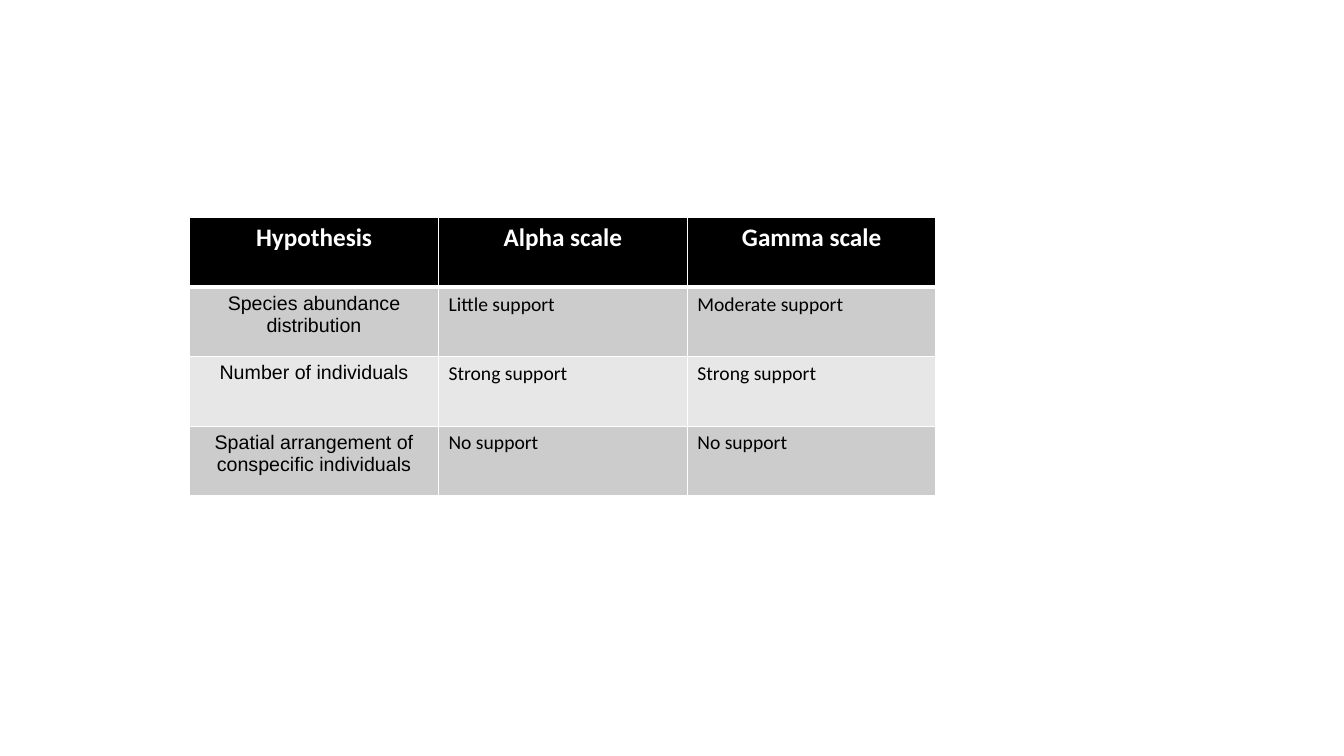
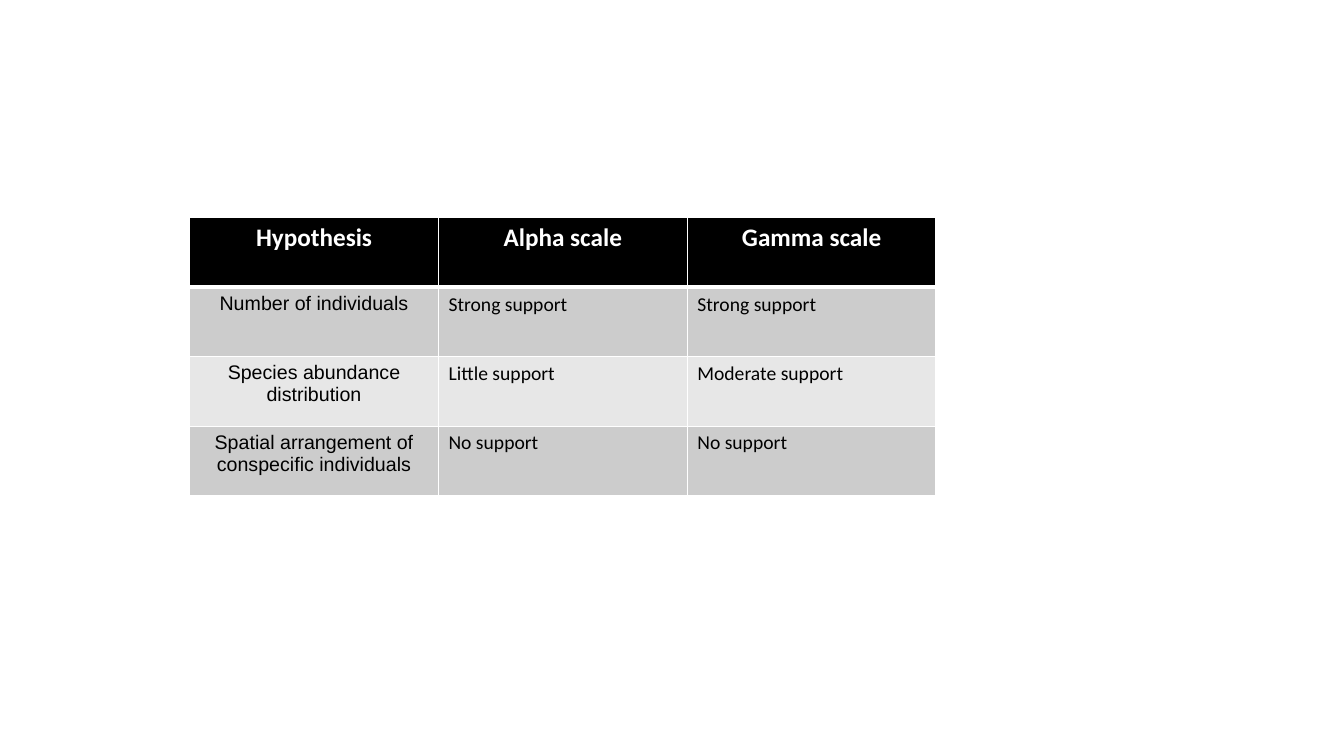
"""Build two slides that rank hypotheses by their support at two scales."""
from lxml.etree import SubElement
from pptx import Presentation
from pptx.dml.color import RGBColor
from pptx.enum.text import PP_ALIGN
from pptx.oxml.ns import qn
from pptx.util import Cm, Pt

COLORS = {
    "header": "000000",
    "header_text": "FFFFFF",
    "body_text": "000000",
    "odd_row": "CCCCCC",
    "even_row": "E7E7E7",
    "border": "FFFFFF",
}
HEADINGS = ("Hypothesis", "Alpha scale", "Gamma scale")
ABUNDANCE = ("Species abundance distribution", "Little support", "Moderate support")
INDIVIDUALS = ("Number of individuals", "Strong support", "Strong support")
ARRANGEMENT = ("Spatial arrangement of conspecific individuals", "No support", "No support")
SLIDES = [
    (ABUNDANCE, INDIVIDUALS, ARRANGEMENT),
    (INDIVIDUALS, ABUNDANCE, ARRANGEMENT),
]

LEFT, TOP = Cm(4.78), Cm(5.49)
COLUMN_WIDTH, ROW_HEIGHT = Cm(6.27), Cm(1.75)
THIN, THICK = Pt(1), Pt(3)


def set_borders(cell, row):
    """Draw the cell borders, with a thick rule under the header row."""
    widths = {
        "a:lnL": THIN,
        "a:lnR": THIN,
        "a:lnT": THICK if row == 1 else THIN,
        "a:lnB": THICK if row == 0 else THIN,
    }
    properties = cell._tc.get_or_add_tcPr()
    for side, width in widths.items():
        border = SubElement(properties, qn(side), w=str(int(width)))
        fill = SubElement(border, qn("a:solidFill"))
        SubElement(fill, qn("a:srgbClr"), val=COLORS["border"])


def style_cell(cell, row, column):
    """Format a cell by its place in the table."""
    is_header = row == 0
    set_borders(cell, row)
    background = "header" if is_header else "odd_row" if row % 2 else "even_row"
    cell.fill.solid()
    cell.fill.fore_color.rgb = RGBColor.from_string(COLORS[background])

    paragraph = cell.text_frame.paragraphs[0]
    paragraph.alignment = PP_ALIGN.CENTER if is_header or column == 0 else PP_ALIGN.LEFT
    font = paragraph.font
    font.name = "Arial" if column == 0 and not is_header else "Calibri"
    font.size = Pt(18 if is_header else 14)
    font.bold = is_header
    text_color = "header_text" if is_header else "body_text"
    font.color.rgb = RGBColor.from_string(COLORS[text_color])


def add_support_table(slide, hypotheses):
    """Add the table of hypotheses below the shared headings."""
    rows = (HEADINGS, *hypotheses)
    table = slide.shapes.add_table(
        len(rows), len(HEADINGS), LEFT, TOP,
        COLUMN_WIDTH * len(HEADINGS), ROW_HEIGHT * len(rows),
    ).table
    for row, texts in enumerate(rows):
        for column, text in enumerate(texts):
            cell = table.cell(row, column)
            cell.text = text
            style_cell(cell, row, column)


def main():
    """Build and save the presentation."""
    presentation = Presentation()
    presentation.slide_width, presentation.slide_height = Cm(33.87), Cm(19.05)
    blank_layout = presentation.slide_layouts[6]
    for hypotheses in SLIDES:
        add_support_table(presentation.slides.add_slide(blank_layout), hypotheses)
    presentation.save("out.pptx")


if __name__ == "__main__":
    main()
